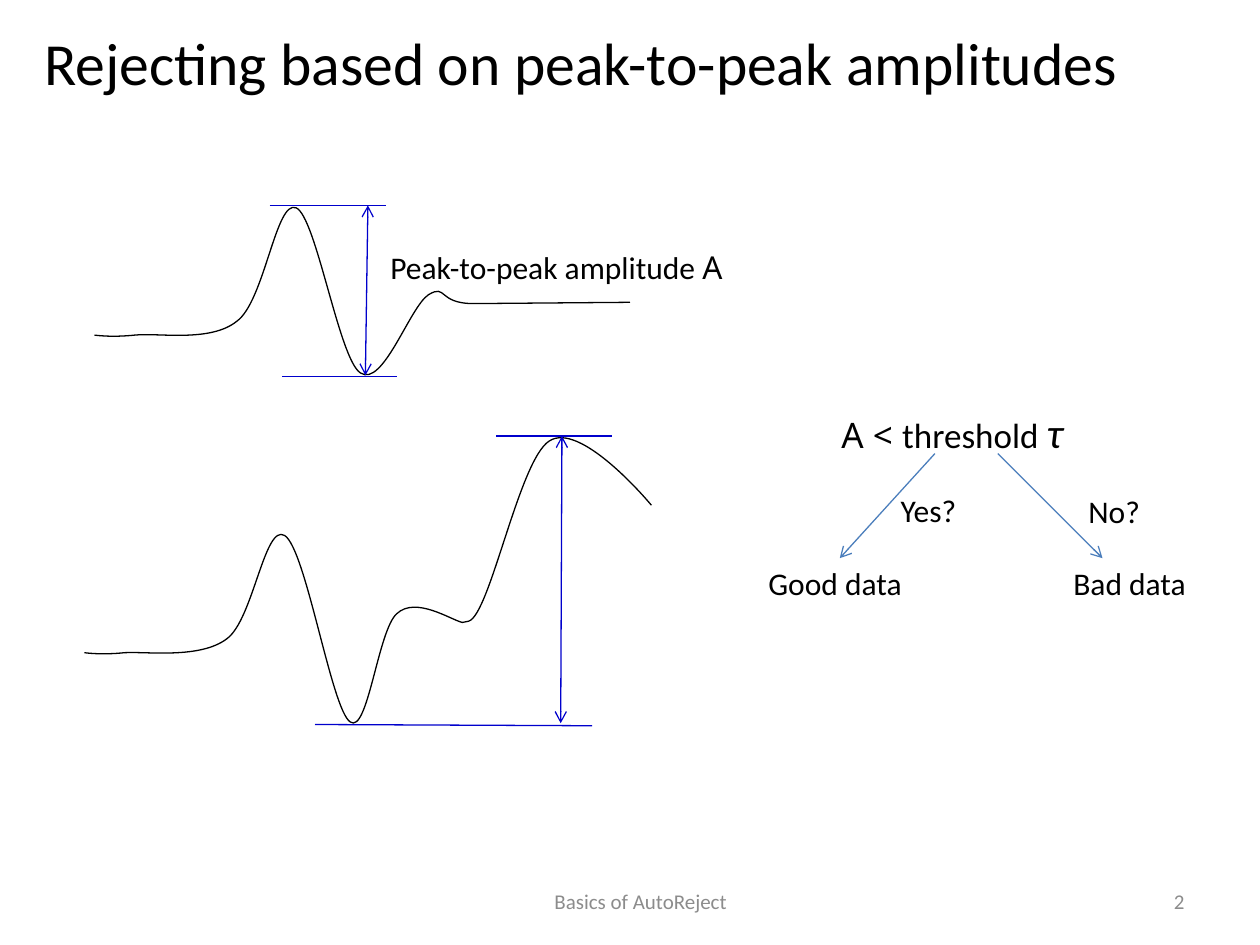
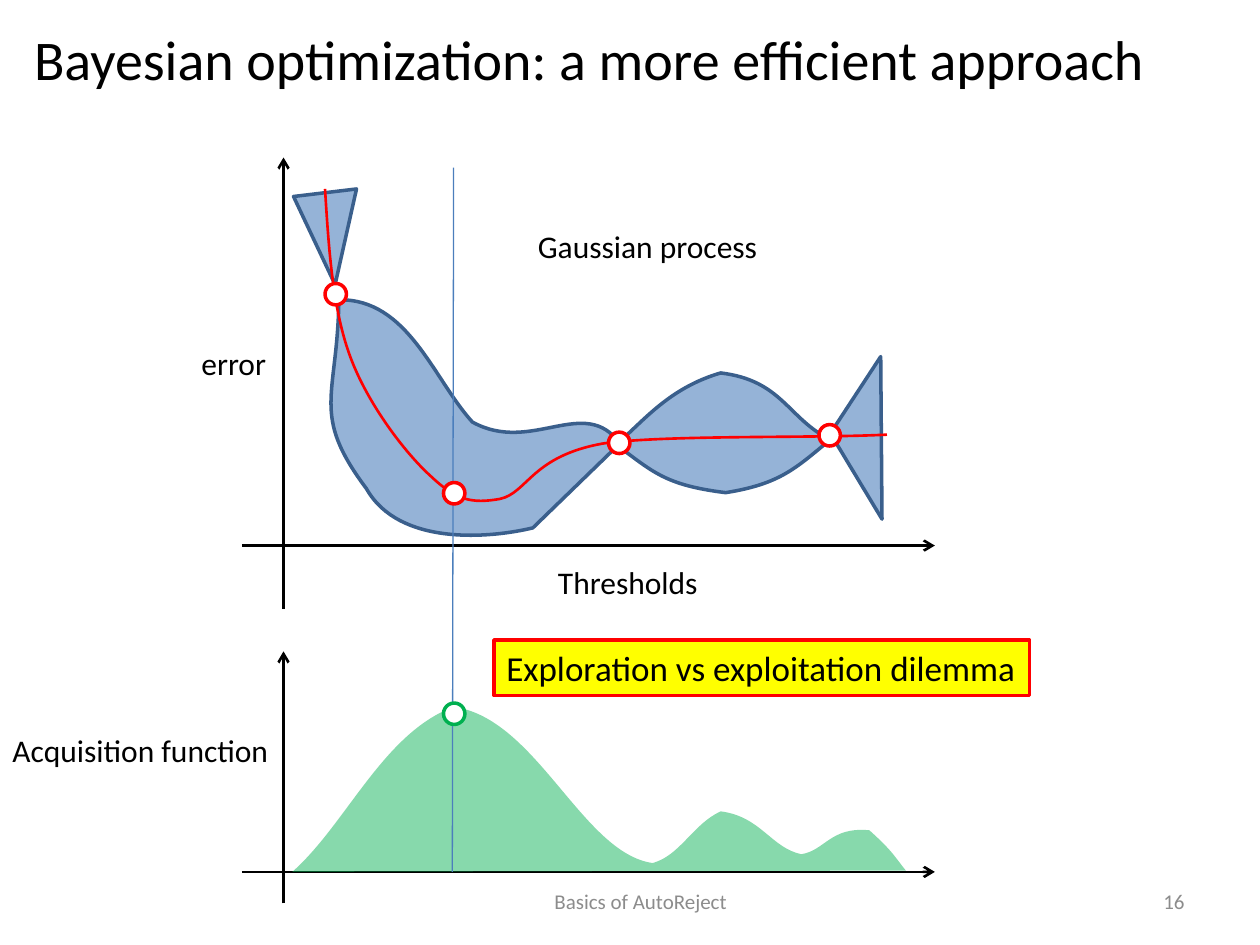
"""Build two slides on peak-to-peak rejection and Bayesian threshold optimization."""
from dataclasses import dataclass

from lxml import etree
from pptx import Presentation
from pptx.dml.color import RGBColor
from pptx.enum.shapes import MSO_CONNECTOR, MSO_SHAPE
from pptx.enum.text import MSO_ANCHOR, MSO_AUTO_SIZE, PP_ALIGN
from pptx.oxml.ns import qn
from pptx.util import Inches, Pt

STRAIGHT = MSO_CONNECTOR.STRAIGHT
OVAL, RECTANGLE = MSO_SHAPE.OVAL, MSO_SHAPE.RECTANGLE
TOP, MIDDLE = MSO_ANCHOR.TOP, MSO_ANCHOR.MIDDLE
LEFT, CENTER, RIGHT = PP_ALIGN.LEFT, PP_ALIGN.CENTER, PP_ALIGN.RIGHT
NO_AUTOFIT = MSO_AUTO_SIZE.NONE


@dataclass(frozen=True)
class Theme:
    font: str = "Calibri"
    symbol_font: str = "Noto Sans"
    black: RGBColor = RGBColor(0x00, 0x00, 0x00)
    white: RGBColor = RGBColor(0xFF, 0xFF, 0xFF)
    gray: RGBColor = RGBColor(0x8C, 0x8C, 0x8C)
    measure: RGBColor = RGBColor(0x00, 0x00, 0xCC)
    arrow: RGBColor = RGBColor(0x4B, 0x7E, 0xBC)
    band: RGBColor = RGBColor(0x4F, 0x81, 0xBD)
    band_edge: RGBColor = RGBColor(0x3A, 0x5F, 0x8C)
    red: RGBColor = RGBColor(0xFF, 0x00, 0x00)
    green: RGBColor = RGBColor(0x00, 0xB0, 0x50)
    yellow: RGBColor = RGBColor(0xFF, 0xFF, 0x00)
    long_title: float = 34.1
    title: float = 32
    footer: int = 12
    label: int = 18
    emphasis: int = 20
    symbol: int = 24
    thin: float = 0.75
    medium: float = 1.5
    thick: float = 2


THEME = Theme()


def add_line(slide, start, end, color, width=THEME.thin, ends=()):
    """Draw a straight line with open arrowheads at the named ends."""
    line = slide.shapes.add_connector(STRAIGHT, *map(Inches, start + end))
    line.line.color.rgb = color
    line.line.width = Pt(width)
    properties = line.element.spPr
    for end_name in ends:
        etree.SubElement(properties.find(qn("a:ln")), qn(f"a:{end_name}"), type="arrow")
    etree.SubElement(properties, qn("a:effectLst"))
    return line


def add_curve(slide, start, segments, line_color=None, width=THEME.thin, fill=None, opacity=100):
    """Draw straight (x, y) and cubic (x1, y1, x2, y2, x, y) segments; close them if filled."""
    points = [(Inches(s[i]), Inches(s[i + 1])) for s in segments for i in range(0, len(s), 2)]
    builder = slide.shapes.build_freeform(*map(Inches, start))
    builder.add_line_segments(points, close=fill is not None)
    curve = builder.convert_to_shape()
    properties = curve.element.spPr
    straight_steps = iter(list(properties.iter(qn("a:lnTo"))))
    for segment in segments:
        first = next(straight_steps)
        if len(segment) == 6:
            first.tag = qn("a:cubicBezTo")
            for control in (next(straight_steps), next(straight_steps)):
                first.append(control[0])
                control.getparent().remove(control)
    curve.shadow.inherit = False
    if fill is None:
        curve.fill.background()
    else:
        curve.fill.solid()
        curve.fill.fore_color.rgb = fill
        color = properties.find(qn("a:solidFill"))[0]
        etree.SubElement(color, qn("a:alpha"), val=str(opacity * 1000))
    if line_color is None:
        curve.line.fill.background()
    else:
        curve.line.color.rgb = line_color
        curve.line.width = Pt(width)


presentation = Presentation()
presentation.slide_width = Inches(10)
presentation.slide_height = Inches(7.5)
title_only = presentation.slide_layouts[5]

pages = [
    ("Rejecting based on peak-to-peak amplitudes", (0.25, 0.17, 9.17, 0.75), THEME.long_title, 0.8, "2"),
    ("Bayesian optimization: a more efficient approach", (0.17, 0, 9.17, 0.92), THEME.title, 1, "16"),
]
labels = []
for text, place, size, spacing, number in pages:
    slide = presentation.slides.add_slide(title_only)
    title = slide.shapes.title
    title.left, title.top, title.width, title.height = map(Inches, place)
    title.text_frame.text = text
    title.text_frame.auto_size = NO_AUTOFIT
    title.text_frame.vertical_anchor = MIDDLE
    paragraph = title.text_frame.paragraphs[0]
    paragraph.alignment = LEFT
    paragraph.line_spacing = spacing
    paragraph.font.name = THEME.font
    paragraph.font.size = Pt(size)
    paragraph.font.color.rgb = THEME.black
    labels += [
        (slide, "Basics of AutoReject", (3, 6.95, 4.17, 0.4), THEME.footer, THEME.gray, CENTER, MIDDLE),
        (slide, number, (7.17, 6.95, 2.33, 0.4), THEME.footer, THEME.gray, RIGHT, MIDDLE),
    ]

rejection, optimization = presentation.slides
plain_labels = [
    (rejection, "Good data", (6, 4.43, 1.33, 0.4)),
    (rejection, "Bad data", (8.42, 4.43, 1.25, 0.4)),
    (rejection, "Yes?", (7.05, 3.85, 0.75, 0.4)),
    (rejection, "No?", (8.54, 3.86, 0.75, 0.4)),
    (optimization, "Thresholds", (4.33, 4.42, 1.83, 0.4)),
    (optimization, "error", (1.5, 2.68, 0.92, 0.4)),
    (optimization, "Gaussian process", (4.17, 1.75, 2.08, 0.4)),
    (optimization, "Acquisition function", (0, 5.75, 2.5, 0.42)),
]
labels += [label + (THEME.label, THEME.black, LEFT, TOP) for label in plain_labels]

boxes = {}
for slide, text, place, size, color, alignment, anchor in labels:
    box = slide.shapes.add_textbox(*map(Inches, place))
    box.text_frame.word_wrap = True
    box.text_frame.vertical_anchor = anchor
    box.text_frame.text = text
    paragraph = box.text_frame.paragraphs[0]
    paragraph.alignment = alignment
    paragraph.font.name = THEME.font
    paragraph.font.size = Pt(size)
    paragraph.font.color.rgb = color
    boxes[text] = box

mixed_labels = [
    ((3, 1.92, 3, 0.4), [
        ("Peak-to-peak amplitude ", THEME.font, THEME.label, False),
        ("A", THEME.symbol_font, THEME.label, False),
    ]),
    ((6.58, 3.18, 2.42, 0.5), [
        ("A < ", THEME.symbol_font, THEME.emphasis, False),
        ("threshold ", THEME.font, THEME.emphasis, False),
        ("τ", THEME.font, THEME.symbol, True),
    ]),
]
for place, runs in mixed_labels:
    box = rejection.shapes.add_textbox(*map(Inches, place))
    box.text_frame.word_wrap = True
    paragraph = box.text_frame.paragraphs[0]
    paragraph.font.color.rgb = THEME.black
    for text, font, size, italic in runs:
        run = paragraph.add_run()
        run.text = text
        run.font.name = font
        run.font.size = Pt(size)
        run.font.italic = italic

signals = [
    ((0.75, 2.66), [
        (0.75, 2.66, 0.88, 2.68, 1.07, 2.66), (1.26, 2.64, 1.67, 2.72, 1.88, 2.55),
        (2.1, 2.39, 2.19, 1.58, 2.35, 1.65), (2.51, 1.72, 2.69, 2.85, 2.86, 2.96),
        (3.04, 3.08, 3.25, 2.44, 3.4, 2.34), (3.55, 2.25, 3.47, 2.41, 3.76, 2.41),
        (5, 2.4),
    ]),
    ((0.67, 5.18), [
        (0.67, 5.18, 0.8, 5.2, 0.99, 5.18), (1.17, 5.17, 1.59, 5.23, 1.8, 5.07),
        (2.01, 4.92, 2.1, 4.15, 2.26, 4.25), (2.43, 4.36, 2.63, 5.63, 2.78, 5.73),
        (2.92, 5.83, 3, 5, 3.15, 4.87), (3.3, 4.73, 3.58, 4.92, 3.67, 4.94),
        (3.72, 4.93), (3.89, 4.88, 4.12, 3.65, 4.36, 3.5),
        (4.6, 3.34, 5.13, 3.96, 5.17, 4.01),
    ]),
]
for start, segments in signals:
    add_curve(rejection, start, segments, THEME.black)

measures = [
    ((2.92, 1.63), (2.9, 2.98), ("headEnd", "tailEnd")),
    ((2.14, 1.63), (3.06, 1.63), ()),
    ((2.24, 2.99), (3.15, 2.99), ()),
    ((4.46, 3.46), (4.45, 5.74), ("headEnd", "tailEnd")),
    ((3.94, 3.46), (4.86, 3.46), ()),
    ((2.5, 5.75), (4.7, 5.76), ()),
]
for start, end, ends in measures:
    add_line(rejection, start, end, THEME.measure, ends=ends)

yes_arrow = add_line(rejection, (7.42, 3.6), (6.67, 4.43), THEME.arrow, ends=("tailEnd",))
yes_arrow.end_connect(boxes["Good data"], 0)
add_line(rejection, (7.92, 3.6), (8.75, 4.43), THEME.arrow, ends=("tailEnd",))

confidence_bands = [
    ((2.66, 2.26), [(2.33, 1.56), (2.83, 1.5), (2.66, 2.26)]),
    ((6.59, 3.44), [(6.99, 2.83), (7, 4.12), (6.59, 3.44)]),
    ((4.92, 3.52), [
        (4.64, 3.13, 4.22, 3.61, 3.75, 3.35), (3.44, 3.01, 3.24, 2.37, 2.69, 2.38),
        (2.68, 3.16, 2.46, 3.28, 2.91, 3.88), (3.17, 4.34, 3.9, 4.27, 4.23, 4.19),
        (4.92, 3.52),
    ]),
    ((4.89, 3.53), [
        (5.11, 3.34, 5.31, 3.08, 5.72, 2.96), (6.21, 3.02, 6.25, 3.32, 6.59, 3.49),
        (6.32, 3.71, 6.2, 3.84, 5.76, 3.91), (5.27, 3.85, 5.18, 3.74, 4.89, 3.53),
    ]),
]
for start, segments in confidence_bands:
    add_curve(optimization, start, segments, THEME.band_edge, THEME.thick, THEME.band, 60)

axes = [
    ((1.92, 4.33), (7.42, 4.33)),
    ((2.25, 4.83), (2.25, 1.25)),
    ((1.92, 6.92), (7.42, 6.92)),
    ((2.25, 7.17), (2.25, 5.17)),
]
for start, end in axes:
    add_line(optimization, start, end, THEME.black, THEME.medium, ("tailEnd",))

mean_error = [
    (2.61, 1.98, 2.64, 2.45, 2.78, 2.83), (2.92, 3.21, 3.22, 3.6, 3.42, 3.78),
    (3.62, 3.97, 3.74, 4, 3.97, 3.96), (4.19, 3.91, 4.22, 3.62, 4.79, 3.52),
    (5.29, 3.45, 6.45, 3.48, 7.04, 3.45),
]
add_curve(optimization, (2.58, 1.5), mean_error, THEME.red, THEME.medium)

acquisition = [
    (2.75, 6.54, 3.04, 5.82, 3.6, 5.61), (4.26, 5.7, 4.62, 6.77, 5.18, 6.85),
    (5.4, 6.79, 5.5, 6.54, 5.72, 6.44), (6.04, 6.48, 6.12, 6.73, 6.36, 6.78),
    (6.55, 6.75, 6.59, 6.56, 6.9, 6.59), (7.09, 6.76, 7.1, 6.8, 7.19, 6.91),
    (2.32, 6.92),
]
add_curve(optimization, (2.32, 6.92), acquisition, fill=THEME.green, opacity=47)
add_line(optimization, (3.6, 1.33), (3.59, 6.92), THEME.arrow)

marker_size = 0.17
markers = [
    (4.83, 3.43, THEME.red),
    (6.5, 3.37, THEME.red),
    (2.58, 2.25, THEME.red),
    (3.52, 3.83, THEME.red),
    (3.52, 5.58, THEME.green),
]
for left, top, color in markers:
    marker = optimization.shapes.add_shape(OVAL, *map(Inches, (left, top, marker_size, marker_size)))
    marker.shadow.inherit = False
    marker.fill.solid()
    marker.fill.fore_color.rgb = THEME.white
    marker.line.color.rgb = color
    marker.line.width = Pt(THEME.thick)

dilemma = optimization.shapes.add_shape(RECTANGLE, *map(Inches, (3.92, 5.08, 4.25, 0.44)))
dilemma.shadow.inherit = False
dilemma.fill.solid()
dilemma.fill.fore_color.rgb = THEME.yellow
dilemma.line.color.rgb = THEME.red
dilemma.line.width = Pt(THEME.thick)
dilemma.text_frame.word_wrap = True
dilemma.text_frame.vertical_anchor = TOP
dilemma.text_frame.text = "Exploration vs exploitation dilemma"
paragraph = dilemma.text_frame.paragraphs[0]
paragraph.alignment = LEFT
paragraph.font.name = THEME.font
paragraph.font.size = Pt(THEME.emphasis)
paragraph.font.color.rgb = THEME.black

presentation.save("out.pptx")
